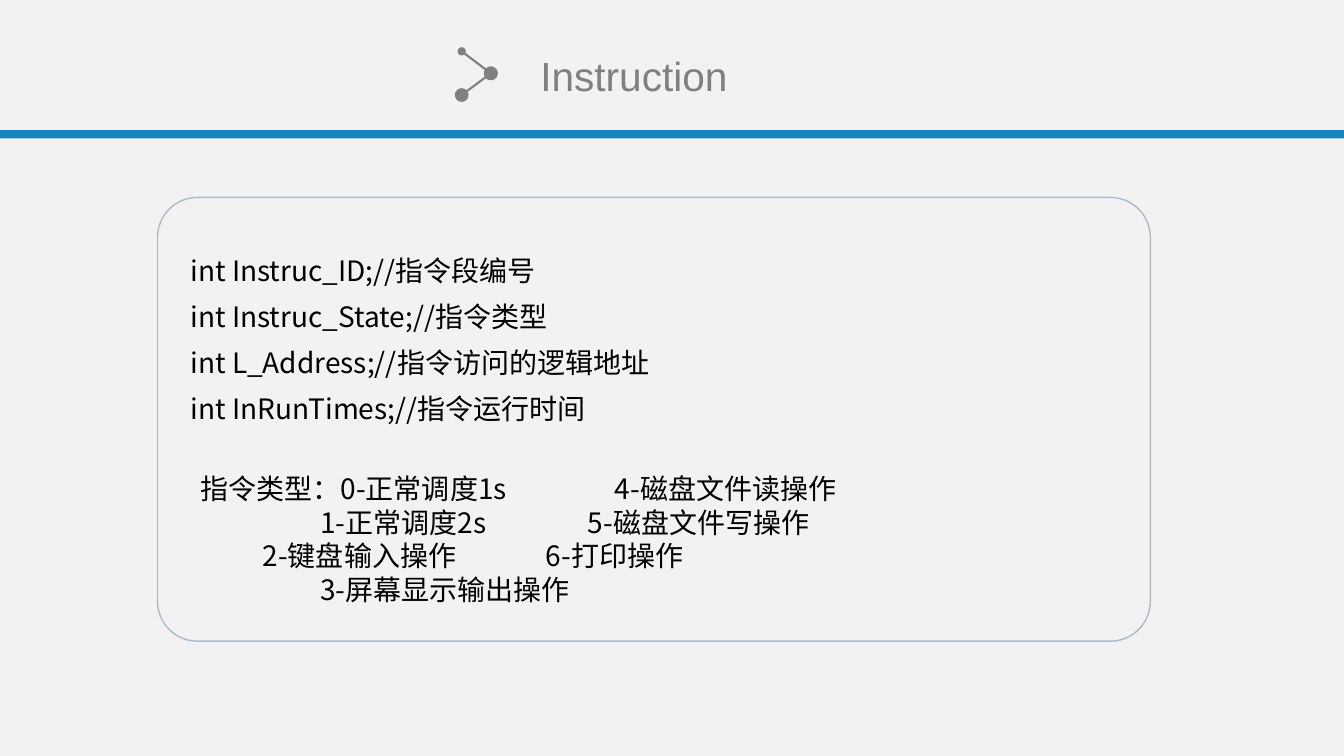
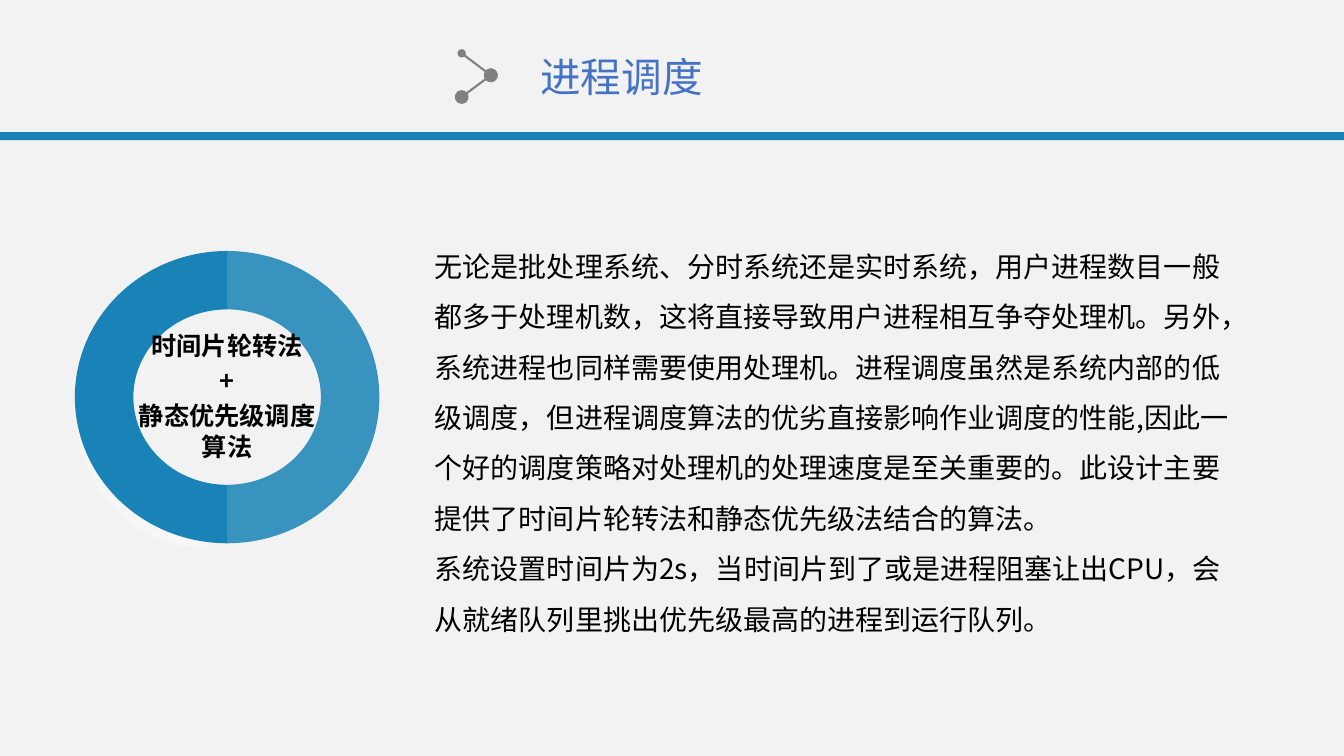
"""Build two slides on instruction fields and process scheduling."""
from lxml import etree
from pptx import Presentation
from pptx.dml.color import RGBColor
from pptx.enum.shapes import MSO_CONNECTOR, MSO_SHAPE
from pptx.enum.text import MSO_ANCHOR, MSO_AUTO_SIZE, PP_ALIGN
from pptx.oxml.ns import qn
from pptx.util import Pt

RECTANGLE = MSO_SHAPE.RECTANGLE
ROUNDED_RECTANGLE = MSO_SHAPE.ROUNDED_RECTANGLE
BLOCK_ARC = MSO_SHAPE.BLOCK_ARC
STRAIGHT = MSO_CONNECTOR.STRAIGHT
TOP, MIDDLE = MSO_ANCHOR.TOP, MSO_ANCHOR.MIDDLE
LEFT, CENTER = PP_ALIGN.LEFT, PP_ALIGN.CENTER
NO_AUTOFIT = MSO_AUTO_SIZE.NONE

COLORS = {
    "background": "F2F2F2",
    "band": "1983B7",
    "gray": "808080",
    "title_blue": "4472C4",
    "frame": "ADBACA",
    "text": "000000",
    "white": "FFFFFF",
}
FONT = "Noto Sans CJK SC"
DEGREE = 0.6


def rgb(name):
    """Return the named colour."""
    return RGBColor.from_string(COLORS[name])


def write(shape, lines, box=None, size=20, font=FONT, color="text", bold=False,
          align=LEFT, anchor=TOP, spacing=1, before=0, insets=(7.2, 3.6), indents=()):
    """Fill a shape with formatted paragraphs, one per line."""
    if box:
        shape.left, shape.top, shape.width, shape.height = map(Pt, box)
    frame = shape.text_frame
    frame.word_wrap = True
    frame.auto_size = NO_AUTOFIT
    frame.vertical_anchor = anchor
    frame.margin_left = frame.margin_right = Pt(insets[0])
    frame.margin_top = frame.margin_bottom = Pt(insets[1])
    for index, line in enumerate(lines):
        paragraph = frame.paragraphs[0] if index == 0 else frame.add_paragraph()
        paragraph.alignment = align
        paragraph.line_spacing = spacing
        paragraph.space_before = Pt(before)
        properties = paragraph._p.get_or_add_pPr()
        properties.set("marL", str(Pt(indents[index] if indents else 0)))
        properties.set("indent", "0")
        etree.SubElement(properties, qn("a:buNone"))
        run = paragraph.add_run()
        run.text = line
        run.font.size = Pt(size)
        run.font.bold = bold
        run.font.name = font
        run.font.color.rgb = rgb(color)
        etree.SubElement(run._r.get_or_add_rPr(), qn("a:ea"), typeface=FONT)


presentation = Presentation()
presentation.slide_width, presentation.slide_height = Pt(960), Pt(540)
background = presentation.slide_master.background.fill
background.solid()
background.fore_color.rgb = rgb("background")
layout = presentation.slide_layouts[1]

slides = []
for title, title_color, offset in (("Instruction", "gray", 0), ("进程调度", "title_blue", 1.4)):
    slide = presentation.slides.add_slide(layout)
    slides.append(slide)
    band = slide.shapes.add_shape(RECTANGLE, 0, Pt(93 + offset), Pt(960), Pt(5.8))
    band.shadow.inherit = False
    band.fill.solid()
    band.fill.fore_color.rgb = rgb("band")
    band.line.fill.background()
    write(slide.shapes.title, [title], box=(378.7, 32.2 + offset, 175, 42.5), size=29,
          font="Arial", color=title_color, anchor=MIDDLE)
    dots = [(329.8, 36.7, "med"), (350.6, 52.4, "lg"), (329.8, 67.9, "lg")]
    for (x1, y1, head), (x2, y2, tail) in zip(dots, dots[1:]):
        connector = slide.shapes.add_connector(
            STRAIGHT, Pt(x1), Pt(y1 + offset), Pt(x2), Pt(y2 + offset))
        connector.line.color.rgb = rgb("gray")
        connector.line.width = Pt(1.5)
        properties = connector._element.spPr
        outline = properties.find(qn("a:ln"))
        for tag, dot_size in (("a:headEnd", head), ("a:tailEnd", tail)):
            etree.SubElement(outline, qn(tag), type="oval", w=dot_size, len=dot_size)
        etree.SubElement(properties, qn("a:effectLst"))

instruction_slide, scheduling_slide = slides

frame_shape = instruction_slide.shapes.add_shape(
    ROUNDED_RECTANGLE, Pt(112.5), Pt(141), Pt(709.2), Pt(317))
frame_shape.adjustments[0] = 0.09
frame_shape.shadow.inherit = False
frame_shape.fill.background()
frame_shape.line.color.rgb = rgb("frame")
frame_shape.line.width = Pt(1)
write(instruction_slide.placeholders[1], [
    "int Instruc_ID;//指令段编号",
    "int Instruc_State;//指令类型",
    "int L_Address;//指令访问的逻辑地址",
    "int InRunTimes;//指令运行时间",
], box=(128.8, 172.8, 457, 135.4), spacing=1.2, before=4)

type_columns = [
    (136, 300, (0, 85.5, 44.5, 85.5),
     ["指令类型：0-正常调度1s", "1-正常调度2s", "2-键盘输入操作", "3-屏幕显示输出操作"]),
    (382.8, 300, (49.3, 30, 0),
     ["4-磁盘文件读操作", "5-磁盘文件写操作", "6-打印操作"]),
]
for left, width, indents, lines in type_columns:
    types_box = instruction_slide.shapes.add_textbox(Pt(left), Pt(333.4), Pt(width), Pt(104.4))
    write(types_box, lines, indents=indents)

RING_BOX = (53.5, 179.3, 217.5, 208.8)
arcs = [
    ((54.7, 204.5, 186.5, 186.5), (90, 270), "white", (45, 0)),
    (RING_BOX, (270, 90), "band", (85,)),
    (RING_BOX, (90, 270), "band", (100,)),
]
for box, angles, color, opacities in arcs:
    arc = scheduling_slide.shapes.add_shape(BLOCK_ARC, *map(Pt, box))
    arc.adjustments[0], arc.adjustments[1] = (angle * DEGREE for angle in angles)
    arc.adjustments[2] = 0.2
    arc.shadow.inherit = False
    arc.line.fill.background()
    if len(opacities) > 1:
        arc.fill.gradient()
        arc.fill.gradient_angle = 90
        for stop in arc.fill.gradient_stops:
            stop.color.rgb = rgb(color)
    else:
        arc.fill.solid()
        arc.fill.fore_color.rgb = rgb(color)
    for element, opacity in zip(arc._element.spPr.iter(qn("a:srgbClr")), opacities):
        etree.SubElement(element, qn("a:alpha"), val=str(opacity * 1000))

ring_label = scheduling_slide.shapes.add_textbox(Pt(97), Pt(235.8), Pt(130.3), Pt(95.8))
write(ring_label, ["时间片轮转法", "+", "静态优先级调度算法"], size=18, bold=True,
      align=CENTER, before=3.6, insets=(0, 0))
write(scheduling_slide.placeholders[1], [
    "无论是批处理系统、分时系统还是实时系统，用户进程数目一般都多于处理机数，"
    "这将直接导致用户进程相互争夺处理机。另外，系统进程也同样需要使用处理机。"
    "进程调度虽然是系统内部的低级调度，但进程调度算法的优劣直接影响作业调度的性能,"
    "因此一个好的调度策略对处理机的处理速度是至关重要的。"
    "此设计主要提供了时间片轮转法和静态优先级法结合的算法。",
    "系统设置时间片为2s，当时间片到了或是进程阻塞让出CPU，"
    "会从就绪队列里挑出优先级最高的进程到运行队列。",
], box=(303.4, 162.5, 592.6, 292.3), spacing=1.5)

presentation.save("out.pptx")
